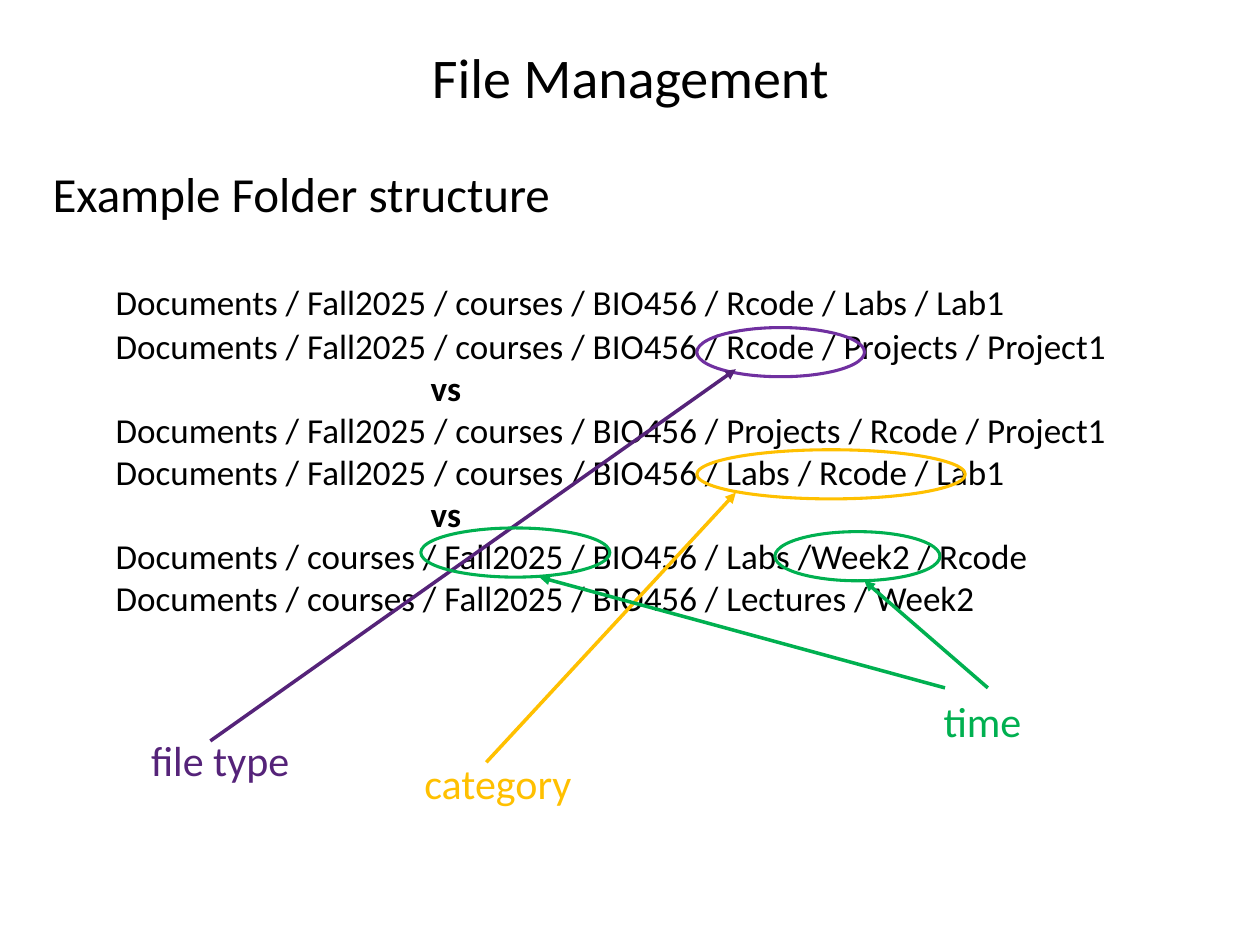
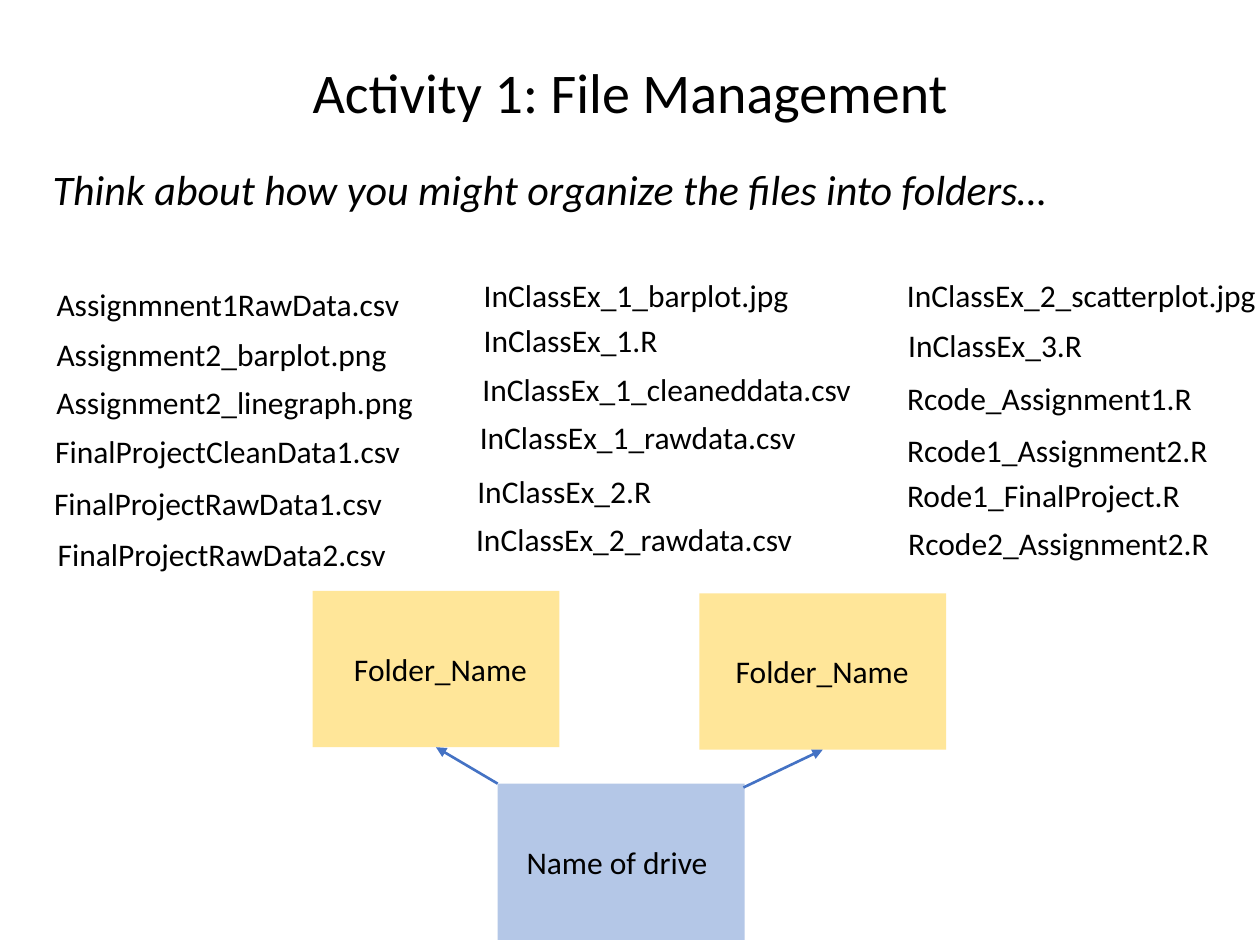
"""Build two slides on organising course files into folders."""
from pptx import Presentation
from pptx.dml.color import RGBColor
from pptx.enum.shapes import MSO_CONNECTOR, MSO_SHAPE
from pptx.enum.text import MSO_AUTO_SIZE, PP_ALIGN
from pptx.oxml.ns import qn
from pptx.util import Pt
from lxml.etree import SubElement

BLACK, PURPLE, VIOLET = "000000", "552379", "7030A0"
GOLD, GREEN, BLUE = "FFC000", "00B050", "4472C4"
DRIVE_FILL, FOLDER_FILL = "B4C7E7", "FFE699"
BOX_WIDTH, BOX_HEIGHT = 141.1, 89.3

FOLDER_PATHS = [
    ["Documents / Fall2025 / courses / BIO456 / Rcode / Labs / Lab1",
     "Documents / Fall2025 / courses / BIO456 / Rcode / Projects / Project1"],
    ["Documents / Fall2025 / courses / BIO456 / Projects / Rcode / Project1",
     "Documents / Fall2025 / courses / BIO456 / Labs / Rcode / Lab1"],
    ["Documents / courses / Fall2025 / BIO456 / Labs /Week2 / Rcode",
     "Documents / courses / Fall2025 / BIO456 / Lectures / Week2"],
]

FILES = [
    (25.2, 159.1, 212.4, "Assignmnent1RawData.csv"),
    (25.2, 187.9, 205.2, "Assignment2_barplot.png"),
    (25.2, 215.3, 220.3, "Assignment2_linegraph.png"),
    (24.5, 243.4, 213.8, "FinalProjectCleanData1.csv"),
    (23.8, 272.9, 203.8, "FinalProjectRawData1.csv"),
    (25.9, 302.4, 203.8, "FinalProjectRawData2.csv"),
    (269.3, 154.1, 190.8, "InClassEx_1_barplot.jpg"),
    (269.3, 180, 114.5, "InClassEx_1.R"),
    (268.6, 208.1, 227.5, "InClassEx_1_cleaneddata.csv"),
    (267.1, 235.4, 196.6, "InClassEx_1_rawdata.csv"),
    (265.7, 266.4, 114.5, "InClassEx_2.R"),
    (265, 293.8, 196.6, "InClassEx_2_rawdata.csv"),
    (511.2, 154.1, 216, "InClassEx_2_scatterplot.jpg"),
    (511.9, 182.9, 114.5, "InClassEx_3.R"),
    (511.2, 213.1, 179.3, "Rcode_Assignment1.R"),
    (511.2, 242.6, 187.9, "Rcode1_Assignment2.R"),
    (511.2, 268.6, 172.1, "Rode1_FinalProject.R"),
    (511.9, 295.9, 187.9, "Rcode2_Assignment2.R"),
]


def colour(value):
    """Turn a hex string into a colour."""
    return RGBColor.from_string(value)


def write(para, text, size=18, color=BLACK, bold=False, italic=False,
          align=PP_ALIGN.LEFT, indent=0, before=0, after=0):
    """Put formatted text into a paragraph."""
    para.alignment = align
    if indent:
        para._p.get_or_add_pPr().set("marL", str(Pt(indent)))
    if before:
        para.space_before = Pt(before)
    if after:
        para.space_after = Pt(after)
    span = para.add_run()
    span.text = text
    span.font.name = "Calibri"
    span.font.size = Pt(size)
    span.font.bold = bold
    span.font.italic = italic
    span.font.color.rgb = colour(color)


class Painter:
    """Hold the deck's style and the current slide."""

    def __init__(self):
        """Start an empty 10 by 7.5 inch deck."""
        self.deck = Presentation()
        self.deck.slide_width, self.deck.slide_height = Pt(720), Pt(540)
        self.page = None

    def new_page(self, title, top):
        """Add a slide with a centred title."""
        self.page = self.deck.slides.add_slide(self.deck.slide_layouts[6])
        self.text((14, top, 692.6, 46), title, size=32, align=PP_ALIGN.CENTER)

    def box(self, place, wrap=True):
        """Add an empty text box and return its text frame."""
        frame = self.page.shapes.add_textbox(*map(Pt, place)).text_frame
        frame.word_wrap = wrap
        frame.auto_size = MSO_AUTO_SIZE.SHAPE_TO_FIT_TEXT
        return frame

    def text(self, place, text, wrap=True, **style):
        """Add a text box with one paragraph."""
        write(self.box(place, wrap).paragraphs[0], text, **style)

    def shape(self, kind, place, fill=None, line=None):
        """Add a preset shape that is either filled or outlined."""
        shape = self.page.shapes.add_shape(kind, *map(Pt, place))
        shape.shadow.inherit = False
        if fill:
            shape.fill.solid()
            shape.fill.fore_color.rgb = colour(fill)
        else:
            shape.fill.background()
        if line:
            shape.line.color.rgb = colour(line)
            shape.line.width = Pt(1.75)
        else:
            shape.line.fill.background()
        return shape

    def ring(self, left, top, width, color):
        """Circle part of a folder path."""
        self.shape(MSO_SHAPE.OVAL, (left, top, width, 28.1), line=color)

    def labelled_box(self, left, top, fill, label, inset, width):
        """Add a filled rectangle with a label and return the rectangle."""
        shape = self.shape(MSO_SHAPE.RECTANGLE,
                           (left, top, BOX_WIDTH, BOX_HEIGHT), fill=fill)
        self.text((left + inset, top + 30.2, width, 28.8), label, wrap=False)
        return shape

    def arrow(self, start, end, color, width=2.0):
        """Draw a straight arrow from start to end and return it."""
        line = self.page.shapes.add_connector(
            MSO_CONNECTOR.STRAIGHT, *map(Pt, (*start, *end)))
        line.line.color.rgb = colour(color)
        line.line.width = Pt(width)
        SubElement(line.line._get_or_add_ln(), qn("a:tailEnd"), type="triangle")
        SubElement(line._element.spPr, qn("a:effectLst"))
        return line


def folder_structure(painter):
    """Compare three ways of nesting course folders."""
    painter.new_page("File Management", 21)
    frame = painter.box((23, 90, 633.6, 322.6))
    write(frame.paragraphs[0], "Example Folder structure", size=28)
    gaps = iter([33, 1])
    for number, pair in enumerate(FOLDER_PATHS):
        if number:
            write(frame.add_paragraph(), "vs", size=20, bold=True, indent=216)
        for folder_path in pair:
            write(frame.add_paragraph(), folder_path, size=20, indent=36,
                  before=next(gaps, 0))

    painter.ring(398.2, 257, 153.4, GOLD)
    painter.arrow((277.9, 435.6), (420.5, 281.5), GOLD)
    painter.ring(398.2, 187.2, 95.8, VIOLET)
    painter.arrow((120.2, 423.4), (420.5, 211), PURPLE)
    painter.ring(442.8, 303.8, 94.3, GREEN)
    painter.arrow((564.5, 393.1), (493.9, 331.9), GREEN)
    painter.ring(240.5, 301.7, 108, GREEN)
    painter.arrow((540, 393.1), (308.2, 329.8), GREEN)

    painter.text((79.2, 416.2, 94.3, 36), "file type", wrap=False,
                 size=24, color=PURPLE)
    painter.text((235.4, 429.1, 99.4, 36), "category", wrap=False,
                 size=24, color=GOLD)
    painter.text((532.1, 393.8, 77, 36), "time", size=24, color=GREEN)


def activity(painter):
    """List loose files above a drive with two folders."""
    painter.new_page("Activity 1: File Management", 29.5)
    painter.text((23, 90, 633.6, 36),
                 "Think about how you might organize the files into folders…",
                 size=24, italic=True, after=6)
    for left, top, width, name in FILES:
        painter.text((left, top, width, 28.8), name, wrap=False)

    painter.labelled_box(284.4, 447.8, DRIVE_FILL, "Name of drive", 9.4, 119.5)
    for left, top, inset, start in (
            (178.6, 337.7, 16.6, (284.4, 447.8)),
            (399.6, 339.1, 13.7, (424.8, 450))):
        folder = painter.labelled_box(left, top, FOLDER_FILL, "Folder_Name",
                                      inset, 114.5)
        end = (left + BOX_WIDTH / 2, top + BOX_HEIGHT)
        painter.arrow(start, end, BLUE, 1.5).end_connect(folder, 2)


def main():
    """Build and save the deck."""
    painter = Painter()
    folder_structure(painter)
    activity(painter)
    painter.deck.save("out.pptx")


if __name__ == "__main__":
    main()
